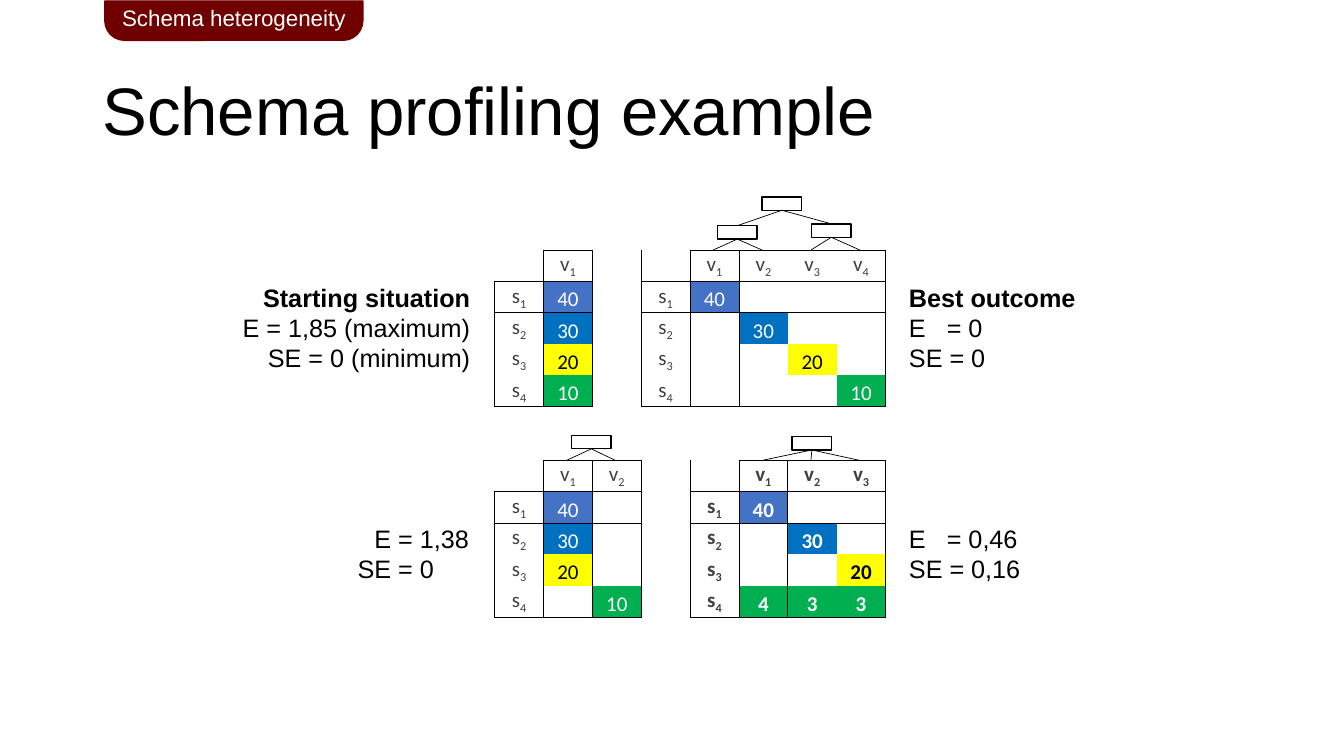
from lxml import etree
from pptx import Presentation
from pptx.dml.color import RGBColor
from pptx.enum.shapes import MSO_CONNECTOR, MSO_SHAPE
from pptx.enum.text import MSO_ANCHOR, PP_ALIGN
from pptx.oxml.ns import qn
from pptx.util import Pt

LEFT, CENTER, RIGHT = PP_ALIGN.LEFT, PP_ALIGN.CENTER, PP_ALIGN.RIGHT
TOP, MIDDLE, BOTTOM = MSO_ANCHOR.TOP, MSO_ANCHOR.MIDDLE, MSO_ANCHOR.BOTTOM
STRAIGHT = MSO_CONNECTOR.STRAIGHT
RECTANGLE, TAG_SHAPE = MSO_SHAPE.RECTANGLE, MSO_SHAPE.ROUND_2_SAME_RECTANGLE

COLORS = {
    "black": "000000", "white": "FFFFFF", "label": "404040", "tag": "700000",
    "blue": "4472C4", "azure": "0070C0", "yellow": "FFFF00", "green": "00B050",
}
ROW_FILLS = ["blue", "azure", "yellow", "green"]
NO_STYLE = "{2D5ABB26-0587-4C30-8999-92F81FD0307C}"

GRID_LEFT, COLUMN_WIDTH, COLUMNS = 353.3, 34.92, 8
ROW_HEIGHT, ROWS = 22.35, 5
UPPER_TOP, LOWER_TOP = 178.6, 328.9
NODE_WIDTH, NODE_HEIGHT = 28.3, 9.6

# Each matrix: column of its labels, values by row, bold or not
UPPER_MATRICES = [
    (0, [[40], [30], [20], [10]], False),
    (3, [[40, None, None, None], [None, 30, None, None],
         [None, None, 20, None], [None, None, None, 10]], False),
]
LOWER_MATRICES = [
    (0, [[40, None], [30, None], [20, None], [None, 10]], False),
    (4, [[40, None, None], [None, 30, None], [None, None, 20], [4, 3, 3]], True),
]


def rgb(name):
    return RGBColor.from_string(COLORS[name])


def format_run(run, size, color, font="Arial", bold=False):
    run.font.size = Pt(size)
    run.font.name = font
    run.font.bold = bold
    run.font.color.rgb = rgb(color)


def add_text(slide, box, lines, size=18, align=LEFT, anchor=TOP, bold_first=False):
    shape = slide.shapes.add_textbox(*map(Pt, box))
    frame = shape.text_frame
    frame.word_wrap = True
    frame.vertical_anchor = anchor
    frame.text = "\n".join(lines)
    for index, paragraph in enumerate(frame.paragraphs):
        paragraph.alignment = align
        format_run(paragraph.runs[0], size, "black", bold=bold_first and index == 0)
    return frame


def add_tab_stop(paragraph, position):
    stops = etree.SubElement(paragraph._p.get_or_add_pPr(), qn("a:tabLst"))
    etree.SubElement(stops, qn("a:tab"), pos=str(Pt(position)), algn="l")


def add_tag(slide, box, text):
    shape = slide.shapes.add_shape(TAG_SHAPE, *map(Pt, box))
    shape.shadow.inherit = False
    shape.adjustments[0], shape.adjustments[1] = 0, 0.5
    shape.fill.solid()
    shape.fill.fore_color.rgb = rgb("tag")
    shape.line.color.rgb = rgb("tag")
    shape.line.width = Pt(1)
    shape.text_frame.text = text
    shape.text_frame.vertical_anchor = MIDDLE
    paragraph = shape.text_frame.paragraphs[0]
    paragraph.alignment = CENTER
    format_run(paragraph.runs[0], 16, "white")


# Matrices
def region(matrices, row, column):
    """Name the outlined block that holds a cell, or None outside all blocks."""
    for label_column, values, _ in matrices:
        if column == label_column and 1 <= row < ROWS:
            return "label"
        if label_column < column <= label_column + len(values[0]) and 0 <= row < ROWS:
            return "header" if row == 0 else "values"
    return None


def add_borders(cell, matrices, row, column):
    properties = cell._tc.get_or_add_tcPr()
    own = region(matrices, row, column)
    sides = [("L", 0, -1), ("R", 0, 1), ("T", -1, 0), ("B", 1, 0)]
    for side, down, across in sides:
        if region(matrices, row + down, column + across) != own:
            line = etree.SubElement(properties, qn(f"a:ln{side}"), w=str(Pt(0.5)))
            fill = etree.SubElement(line, qn("a:solidFill"))
            etree.SubElement(fill, qn("a:srgbClr"), val=COLORS["black"])


def fill_label(cell, letter, number, bold, anchor):
    cell.vertical_anchor = anchor
    paragraph = cell.text_frame.paragraphs[0]
    paragraph.alignment = CENTER
    for text in (letter, str(number)):
        run = paragraph.add_run()
        run.text = text
        format_run(run, 15, "label", "Calibri", bold)
    run.font._element.set("baseline", "-25000")


def fill_value(cell, value, color, bold):
    cell.vertical_anchor = BOTTOM
    cell.fill.solid()
    cell.fill.fore_color.rgb = rgb(color)
    cell.text_frame.text = str(value)
    paragraph = cell.text_frame.paragraphs[0]
    paragraph.alignment = CENTER
    format_run(paragraph.runs[0], 15, "black" if color == "yellow" else "white",
               "Calibri", bold)


def add_matrices(slide, top, matrices):
    frame = slide.shapes.add_table(
        ROWS, COLUMNS, Pt(GRID_LEFT), Pt(top),
        Pt(COLUMN_WIDTH * COLUMNS), Pt(ROW_HEIGHT * ROWS))
    table = frame.table
    table.first_row = table.horz_banding = False
    table._tbl.tblPr.find(qn("a:tableStyleId")).text = NO_STYLE
    for column in table.columns:
        column.width = Pt(COLUMN_WIDTH)
    for row_index, row in enumerate(table.rows):
        row.height = Pt(ROW_HEIGHT)
        for column_index, cell in enumerate(row.cells):
            cell.margin_left = cell.margin_right = cell.margin_top = Pt(0.7)
            cell.margin_bottom = 0
            add_borders(cell, matrices, row_index, column_index)
            cell.fill.background()
    for label_column, values, bold in matrices:
        for number in range(1, len(values[0]) + 1):
            fill_label(table.cell(0, label_column + number), "v", number, bold, TOP)
        for number, row_values in enumerate(values, 1):
            fill_label(table.cell(number, label_column), "s", number, bold, MIDDLE)
            for offset, value in enumerate(row_values, 1):
                if value is not None:
                    fill_value(table.cell(number, label_column + offset), value,
                               ROW_FILLS[number - 1], bold)
    # Small type in empty cells keeps the rows at their height
    for cell in table.iter_cells():
        if not cell.text_frame.text:
            etree.SubElement(cell.text_frame.paragraphs[0]._p,
                             qn("a:endParaRPr"), sz="1500")


# Trees above the matrices
def add_branch(slide, node, x, y):
    branch = slide.shapes.add_connector(STRAIGHT, 0, 0, Pt(x), Pt(y))
    branch.begin_connect(node, 2)
    branch.line.color.rgb = rgb("black")
    branch.line.width = Pt(0.5)
    etree.SubElement(branch._element.spPr, qn("a:effectLst"))
    return branch


def add_node(slide, centre, top, columns=(), grid_top=0, children=()):
    node = slide.shapes.add_shape(RECTANGLE, Pt(centre - NODE_WIDTH / 2), Pt(top),
                                  Pt(NODE_WIDTH), Pt(NODE_HEIGHT))
    node.shadow.inherit = False
    node.fill.background()
    node.line.color.rgb = rgb("black")
    node.line.width = Pt(1)
    for column in columns:
        add_branch(slide, node, GRID_LEFT + (column + 0.5) * COLUMN_WIDTH - 1, grid_top)
    for child in children:
        add_branch(slide, node, centre, top).end_connect(child, 0)
    return node


def main():
    presentation = Presentation()
    presentation.slide_width, presentation.slide_height = Pt(960), Pt(540)
    slide = presentation.slides.add_slide(presentation.slide_layouts[6])

    # Title and matrices
    title = add_text(slide, (66, 28.8, 828, 104.4), ["Schema profiling example"],
                     size=48, anchor=MIDDLE)
    title.paragraphs[0].line_spacing = 0.9
    add_matrices(slide, UPPER_TOP, UPPER_MATRICES)
    add_matrices(slide, LOWER_TOP, LOWER_MATRICES)

    # Scores beside the matrices
    add_text(slide, (160, 198, 183, 72.7),
             ["Starting situation", "E = 1,85 (maximum)", "SE = 0 (minimum)"],
             align=RIGHT, bold_first=True)
    middle = add_text(slide, (248.4, 370, 100, 50.9), ["E = 1,38", "SE = 0"])
    middle.paragraphs[0]._p.get_or_add_pPr().set("marL", str(Pt(12)))
    best = add_text(slide, (642.2, 198, 140, 72.7),
                    ["Best outcome", "E\t= 0", "SE = 0"], bold_first=True)
    mixed = add_text(slide, (642.2, 370, 110, 50.9), ["E\t= 0,46", "SE = 0,16"])
    add_tab_stop(best.paragraphs[1], 27)
    add_tab_stop(mixed.paragraphs[0], 27)

    # Trees
    left_node = add_node(slide, 526.7, 161.2, (4, 5), UPPER_TOP)
    right_node = add_node(slide, 593.8, 159.9, (6, 7), UPPER_TOP)
    add_node(slide, 558.5, 140.6, children=(left_node, right_node))
    add_node(slide, 422.4, 311, (1, 2), LOWER_TOP)
    add_node(slide, 579.9, 311.8, (5, 6, 7), LOWER_TOP)

    add_tag(slide, (74.9, 0.7, 184.3, 28.1), "Schema heterogeneity")
    presentation.save("out.pptx")


if __name__ == "__main__":
    main()
